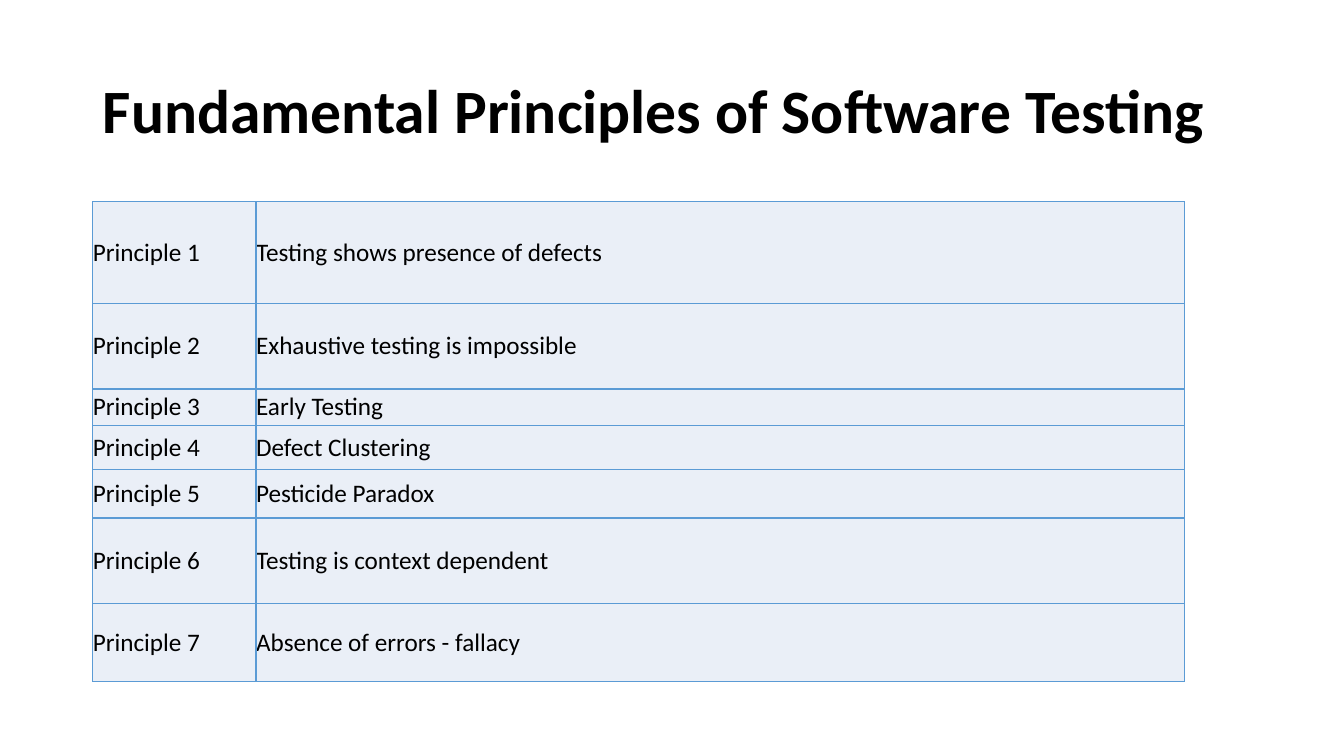
"""Build a slide that lists the seven principles of software testing in a table."""
from dataclasses import dataclass

from lxml.etree import SubElement
from pptx import Presentation
from pptx.dml.color import RGBColor
from pptx.enum.text import MSO_ANCHOR as Anchor, MSO_AUTO_SIZE as AutoSize, PP_ALIGN as Align
from pptx.oxml.ns import qn
from pptx.util import Pt

TITLE = "Fundamental Principles of Software Testing"
PRINCIPLES = [
    ("Testing shows presence of defects", 101),
    ("Exhaustive testing is impossible", 85),
    ("Early Testing", 36),
    ("Defect Clustering", 44),
    ("Pesticide Paradox", 48),
    ("Testing is context dependent", 85),
    ("Absence of errors - fallacy", 77),
]
COLUMN_WIDTHS = (162, 921)
PAGE_SIZE = (1333, 750)
TITLE_BOX = (92, 40, 1150, 145)
TABLE_CORNER = (92, 200)
EMU_PER_PX = 9144


@dataclass(frozen=True)
class Theme:
    font: str = "Calibri"
    ink: str = "000000"
    fill: str = "EAEFF7"
    border: str = "5B9BD5"
    title_size: int = 44
    cell_size: int = 18
    border_width: int = 1


THEME = Theme()


def px(length):
    return length * EMU_PER_PX


def style_text(para, size, bold=False):
    para.alignment = Align.LEFT
    para.font.name = THEME.font
    para.font.size = Pt(size)
    para.font.bold = bold
    para.font.color.rgb = RGBColor.from_string(THEME.ink)


def add_borders(cell):
    properties = cell._tc.get_or_add_tcPr()
    for side in ("a:lnL", "a:lnR", "a:lnT", "a:lnB"):
        line = SubElement(properties, qn(side), w=str(Pt(THEME.border_width)))
        paint = SubElement(line, qn("a:solidFill"))
        SubElement(paint, qn("a:srgbClr"), val=THEME.border)


def fill_cell(cell, text):
    cell.text = text
    cell.vertical_anchor = Anchor.MIDDLE
    cell.margin_left = cell.margin_right = cell.margin_top = cell.margin_bottom = 0
    style_text(cell.text_frame.paragraphs[0], THEME.cell_size)
    add_borders(cell)
    cell.fill.solid()
    cell.fill.fore_color.rgb = RGBColor.from_string(THEME.fill)


def add_title(page):
    title = page.shapes.title
    title.left, title.top, title.width, title.height = map(px, TITLE_BOX)
    frame = title.text_frame
    frame.text = TITLE
    frame.word_wrap = True
    frame.auto_size = AutoSize.NONE
    frame.vertical_anchor = Anchor.MIDDLE
    para = frame.paragraphs[0]
    para.line_spacing = 0.9
    style_text(para, THEME.title_size, bold=True)


def add_principles(page):
    size = (sum(COLUMN_WIDTHS), sum(height for _, height in PRINCIPLES))
    table = page.shapes.add_table(
        len(PRINCIPLES), len(COLUMN_WIDTHS), *map(px, TABLE_CORNER + size)
    ).table
    table.first_row = table.horz_banding = False
    for column, width in zip(table.columns, COLUMN_WIDTHS):
        column.width = px(width)
    for index, (principle, height) in enumerate(PRINCIPLES):
        table.rows[index].height = px(height)
        fill_cell(table.cell(index, 0), f"Principle {index + 1}")
        fill_cell(table.cell(index, 1), principle)


def main():
    deck = Presentation()
    deck.slide_width, deck.slide_height = map(px, PAGE_SIZE)
    page = deck.slides.add_slide(deck.slide_layouts.get_by_name("Title Only"))
    add_title(page)
    add_principles(page)
    deck.save("out.pptx")


if __name__ == "__main__":
    main()
